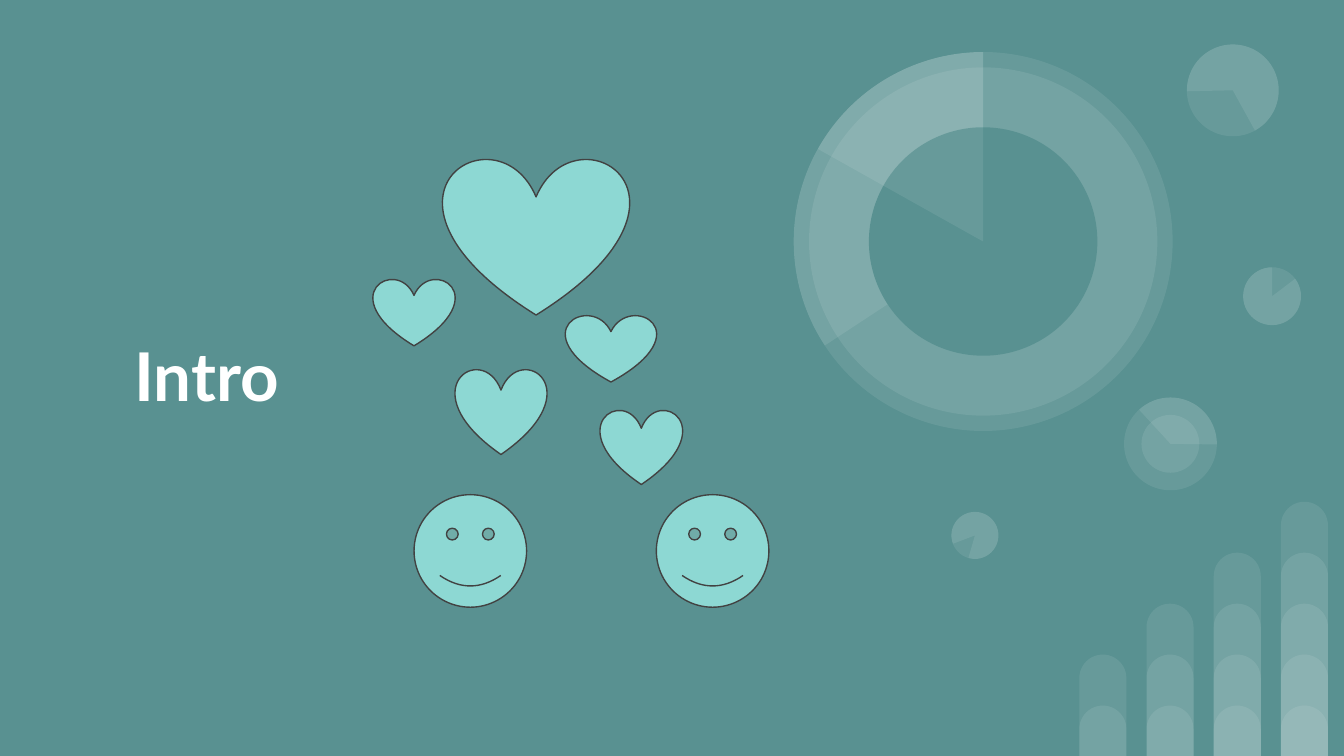
from lxml import etree
from pptx import Presentation
from pptx.dml.color import RGBColor
from pptx.enum import shapes, text
from pptx.oxml.ns import qn
from pptx.util import Pt

TEAL = RGBColor(0x59, 0x91, 0x91)
MINT = RGBColor(0x8D, 0xD8, 0xD3)
CHARCOAL = RGBColor(0x42, 0x42, 0x42)
WHITE = RGBColor(0xFF, 0xFF, 0xFF)
KIND = shapes.MSO_SHAPE

deck = Presentation()
deck.slide_width, deck.slide_height = Pt(720), Pt(405)
slide = deck.slides.add_slide(deck.slide_layouts[6])
slide.background.fill.solid()
slide.background.fill.fore_color.rgb = TEAL


def add_figure(kind, left, top, width, height, color, outline=None):
    figure = slide.shapes.add_shape(kind, Pt(left), Pt(top), Pt(width), Pt(height))
    figure.shadow.inherit = False
    figure.fill.solid()
    figure.fill.fore_color.rgb = color
    if outline is None:
        figure.line.fill.background()
    else:
        figure.line.color.rgb = outline
        figure.line.width = Pt(0.75)
    return figure


def make_veil(figure):
    """Let the solid fill show at 9% opacity."""
    color = figure.fill._xPr.find(qn("a:solidFill"))[0]
    etree.SubElement(color, qn("a:alpha")).set("val", "9000")


# Rounded bars: each column stacks one more layer than the column before
for column in range(4):
    for layer in range(column + 2):
        height = 27 + 27.3 * layer
        bar = add_figure(KIND.ROUND_2_SAME_RECTANGLE, 578.2 + 36 * column,
                         405 - height, 25.2, height, WHITE)
        bar.adjustments[0] = 0.5
        bar.adjustments[1] = 0
        make_veil(bar)

# Dials: centre x, centre y, diameter, rotation, pie start and end in degrees, colour
dials = [
    (681.5, 158.7, 31, 0, None, WHITE),
    (681.5, 158.7, 31, 0, (322.95, 270), WHITE),
    (522.3, 286.8, 25.2, 196.2, None, WHITE),
    (522.3, 286.8, 25.2, 196.2, (322.95, 270), WHITE),
    (627, 237.8, 49.7, 90, None, WHITE),
    (627, 237.8, 49.7, 90, (137.41, 270.77), WHITE),
    (627, 237.8, 31, 90, None, WHITE),
    (660.4, 48.4, 49.2, 215.9, None, WHITE),
    (660.4, 48.4, 49.2, 215.9, (322.95, 205.23), WHITE),
    (526.7, 129.4, 203, 0, None, WHITE),
    (526.7, 129.4, 186.6, 34.1, None, WHITE),
    (526.7, 129.4, 203, 0, (146.69, 270), WHITE),
    (526.7, 129.4, 122.4, 34.1, None, TEAL),
    (526.7, 129.4, 203, 0, (209.24, 270), WHITE),
]
for x, y, diameter, rotation, slice_angles, color in dials:
    dial = add_figure(KIND.PIE if slice_angles else KIND.OVAL, x - diameter / 2,
                      y - diameter / 2, diameter, diameter, color)
    dial.rotation = rotation
    for index, degrees in enumerate(slice_angles or ()):
        dial.adjustments[index] = degrees * 0.6  # 60000ths of a degree / 100000
    if color == WHITE:
        make_veil(dial)

# Title
title = slide.shapes.add_textbox(Pt(64.8), Pt(126.7), Pt(334.8), Pt(147.6))
frame = title.text_frame
frame.word_wrap = True
frame.vertical_anchor = text.MSO_ANCHOR.MIDDLE
frame.margin_left = frame.margin_right = Pt(7.2)
frame.margin_top = frame.margin_bottom = Pt(7.2)
intro = frame.paragraphs[0].add_run()
intro.text = "Intro"
intro.font.name = "Lato"
intro.font.size = Pt(36)
intro.font.bold = True
intro.font.color.rgb = WHITE

# Hearts floating between two smiling faces
hearts = [
    (237.4, 84.4, 99.6, 84.4),
    (199.9, 149.3, 43.8, 36),
    (303, 168.7, 48.6, 36),
    (243.9, 197.5, 49, 46),
    (321.6, 219.4, 44, 40.2),
]
for box in hearts:
    add_figure(KIND.HEART, *box, MINT, CHARCOAL)
for left in (221.8, 351.6):
    face = add_figure(KIND.SMILEY_FACE, left, 265, 60.3, 60.3, MINT, CHARCOAL)
    face.adjustments[0] = 0.05

deck.save("out.pptx")
